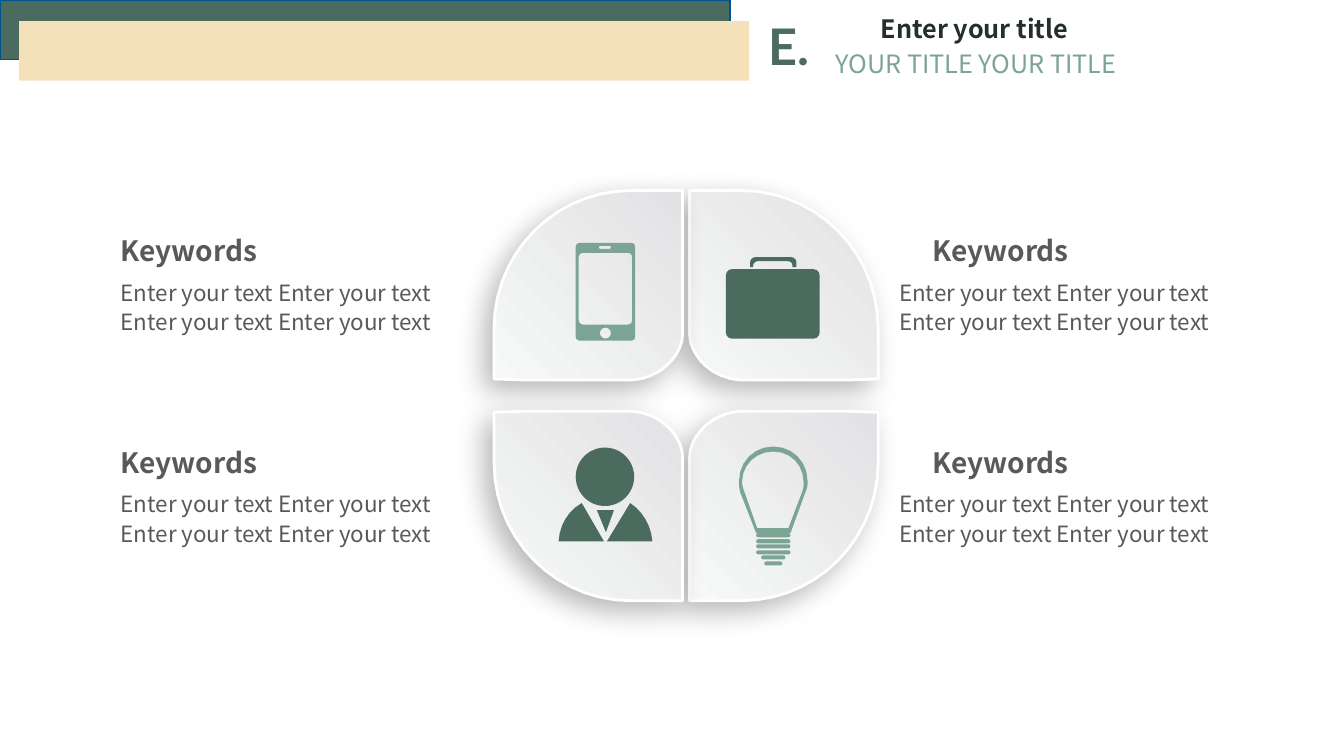
from lxml import etree
from math import dist
from pptx import Presentation
from pptx.dml.color import RGBColor
from pptx.enum.shapes import MSO_SHAPE
from pptx.enum.text import MSO_AUTO_SIZE, PP_ALIGN
from pptx.oxml.ns import qn
from pptx.util import Pt

PX = 9144  # 100 px to the inch
DARK_GREEN = RGBColor(0x4B, 0x6B, 0x5E)
LIGHT_GREEN = RGBColor(0x7C, 0xA4, 0x94)
BEIGE = RGBColor(0xF5, 0xE1, 0xB9)
BLUE = RGBColor(0x00, 0x53, 0x8E)
INK = RGBColor(0x24, 0x2F, 0x2C)
GREY = RGBColor(0x59, 0x59, 0x59)
WHITE = RGBColor(0xFF, 0xFF, 0xFF)
PETAL_LOW = RGBColor(0xF7, 0xF9, 0xF8)
PETAL_HIGH = RGBColor(0xE2, 0xE2, 0xE4)
SANS = "Noto Sans CJK SC"
LEFT, CENTER, RIGHT = PP_ALIGN.LEFT, PP_ALIGN.CENTER, PP_ALIGN.RIGHT


def preset(shapes, kind, left, top, width, height, color):
    """Add a plain filled preset shape without line or shadow."""
    s = shapes.add_shape(kind, left * PX, top * PX, width * PX, height * PX)
    s.shadow.inherit = False
    s.fill.solid()
    s.fill.fore_color.rgb = color
    s.line.fill.background()
    return s


def draw(shapes, contours, color):
    """Fill closed contours; a pair is a line end, six numbers a Bezier curve."""
    builder = None
    for start, *steps in contours:
        points, last = [], start
        for step in steps:
            if len(step) == 2:
                points.append(step)
            else:
                x1, y1, x2, y2, x3, y3 = step
                n = max(3, min(14, int(dist(last, (x3, y3)) / 7)))
                for i in range(1, n + 1):
                    t = i / n
                    a, b, c, d = (1 - t) ** 3, 3 * t * (1 - t) ** 2, 3 * t * t * (1 - t), t ** 3
                    points.append((a * last[0] + b * x1 + c * x2 + d * x3,
                                   a * last[1] + b * y1 + c * y2 + d * y3))
            last = points[-1]
        x, y = start[0] * PX, start[1] * PX
        if builder is None:
            builder = shapes.build_freeform(x, y)
        else:
            builder.move_to(x, y)
        builder.add_line_segments([(px * PX, py * PX) for px, py in points], close=True)
    s = builder.convert_to_shape()
    s.shadow.inherit = False
    s.fill.solid()
    s.fill.fore_color.rgb = color
    s.line.fill.background()
    return s


prs = Presentation()
prs.slide_width, prs.slide_height = 1333 * PX, 750 * PX
shapes = prs.slides.add_slide(prs.slide_layouts[6]).shapes

# Header bars
back_bar = preset(shapes, MSO_SHAPE.RECTANGLE, 0, 0, 724, 59, DARK_GREEN)
back_bar.line.color.rgb = BLUE
back_bar.line.width = Pt(1)
preset(shapes, MSO_SHAPE.RECTANGLE, 19, 21, 724, 59, BEIGE)

# Petals: one outline, mirrored from each inner corner
outline = [(53, 0), (50, 0), (19, 2, 0, 27, 0, 45), (0, 188), (51, 188),
           (126, 188, 187, 127, 187, 51), (187, 1), (156, 0)]
for corner_x, flip_x in [(684, 1), (677, -1)]:
    for corner_y, flip_y in [(377, -1), (408, 1)]:
        mirrored = [tuple(corner_y + flip_y * v if i % 2 else corner_x + flip_x * v
                          for i, v in enumerate(step)) for step in outline]
        petal = draw(shapes, [mirrored], PETAL_LOW)
        petal.fill.gradient()
        petal.fill.gradient_angle = 45
        for stop, color in zip(petal.fill.gradient_stops, (PETAL_LOW, PETAL_HIGH)):
            stop.color.rgb = color
        petal.line.color.rgb = WHITE
        petal.line.width = Pt(2)
        effects = petal.element.spPr.find(qn("a:effectLst"))
        shadow = etree.SubElement(effects, qn("a:outerShdw"), blurRad=str(Pt(20)),
                                  dist=str(Pt(9)), dir="8100000", algn="tr", rotWithShape="0")
        black = etree.SubElement(shadow, qn("a:srgbClr"), val="000000")
        etree.SubElement(black, qn("a:alpha"), val="28000")

# Phone: body, then speaker, screen and button as holes
phone = []
for left, top, right, bottom, radius in [(571, 241, 630, 338, 4), (594, 244, 606, 247, 1.5),
                                         (574, 251, 627, 322, 4), (595, 325, 606, 336, 5.5)]:
    k = radius * 0.45
    phone.append([(left + radius, top), (right - radius, top),
                  (right - k, top, right, top + k, right, top + radius),
                  (right, bottom - radius),
                  (right, bottom - k, right - k, bottom, right - radius, bottom),
                  (left + radius, bottom),
                  (left + k, bottom, left, bottom - k, left, bottom - radius),
                  (left, top + radius),
                  (left, top + k, left + k, top, left + radius, top)])
draw(shapes, phone, LIGHT_GREEN)

# Briefcase
briefcase = shapes.add_group_shape().shapes
case = preset(briefcase, MSO_SHAPE.ROUNDED_RECTANGLE, 720, 267, 93, 69, DARK_GREEN)
case.adjustments[0] = 0.09
draw(briefcase, [[(747, 265), (747, 263), (747, 261, 750, 259, 752, 259), (781, 259),
                  (784, 259, 786, 261, 786, 263), (786, 265), (790, 265), (790, 260),
                  (790, 257, 787, 255, 784, 255), (750, 255),
                  (747, 255, 744, 257, 744, 260), (744, 265)]], DARK_GREEN)

# Person
person = shapes.add_group_shape().shapes
for part in [[(577, 499), (563, 507, 555, 521, 554, 537), (599, 537)],
             [(625, 499), (602, 537), (647, 537), (646, 521, 637, 507, 625, 499)],
             [(592, 506), (601, 528), (609, 506)]]:
    draw(person, [part], DARK_GREEN)
preset(person, MSO_SHAPE.OVAL, 571, 444, 58, 58, DARK_GREEN)

# Light bulb
bulb = shapes.add_group_shape().shapes
draw(bulb, [[(767, 443), (748, 443, 733, 458, 733, 477), (733, 481, 733, 484, 734, 488),
             (750, 529), (784, 529), (799, 488), (801, 484, 801, 481, 801, 477),
             (801, 458, 786, 443, 767, 443)],
            [(796, 487), (782, 524), (751, 524), (738, 487),
             (737, 485, 736, 481, 736, 478), (736, 461, 750, 448, 767, 448),
             (784, 448, 797, 461, 797, 478), (797, 481, 797, 485, 796, 487)]], LIGHT_GREEN)
for top, width in [(529, 34), (535, 34), (540, 34), (546, 34), (551, 24), (557, 18)]:
    ring = preset(bulb, MSO_SHAPE.ROUNDED_RECTANGLE, 767 - width // 2, top, width, 4, LIGHT_GREEN)
    ring.adjustments[0] = 0.5

# Texts: left, top, width, height, text, size, font, colour, bold, alignment, wrap
texts = [
    (810, 8, 313, 40, "Enter your title", 18, SANS, INK, True, CENTER, True),
    (752, 10, 74, 71, "E.", 36, "Lato", DARK_GREEN, True, LEFT, False),
    (819, 43, 313, 40, "YOUR TITLE YOUR TITLE", 18, SANS, LIGHT_GREEN, False, LEFT, True),
]
body = "Enter your text Enter your text\nEnter your text Enter your text"
for top in (227, 437):
    for key_left, body_left, align in [(110, 110, LEFT), (912, 882, RIGHT)]:
        texts += [(key_left, top, 158, 44, "Keywords", 20, SANS, GREY, True, align, False),
                  (body_left, top + 42, 478, 69, body, 16, SANS, GREY, False, LEFT, True)]

for left, top, width, height, text, size, font, color, bold, align, wrap in texts:
    tf = shapes.add_textbox(left * PX, top * PX, width * PX, height * PX).text_frame
    tf.text = text
    tf.word_wrap = wrap
    tf.auto_size = MSO_AUTO_SIZE.SHAPE_TO_FIT_TEXT
    for p in tf.paragraphs:
        p.alignment = align
        if text == body:
            p.line_spacing = 1.1
        for r in p.runs:
            r.font.size = Pt(size)
            r.font.name = font
            r.font.bold = bold
            r.font.color.rgb = color

prs.save("out.pptx")
